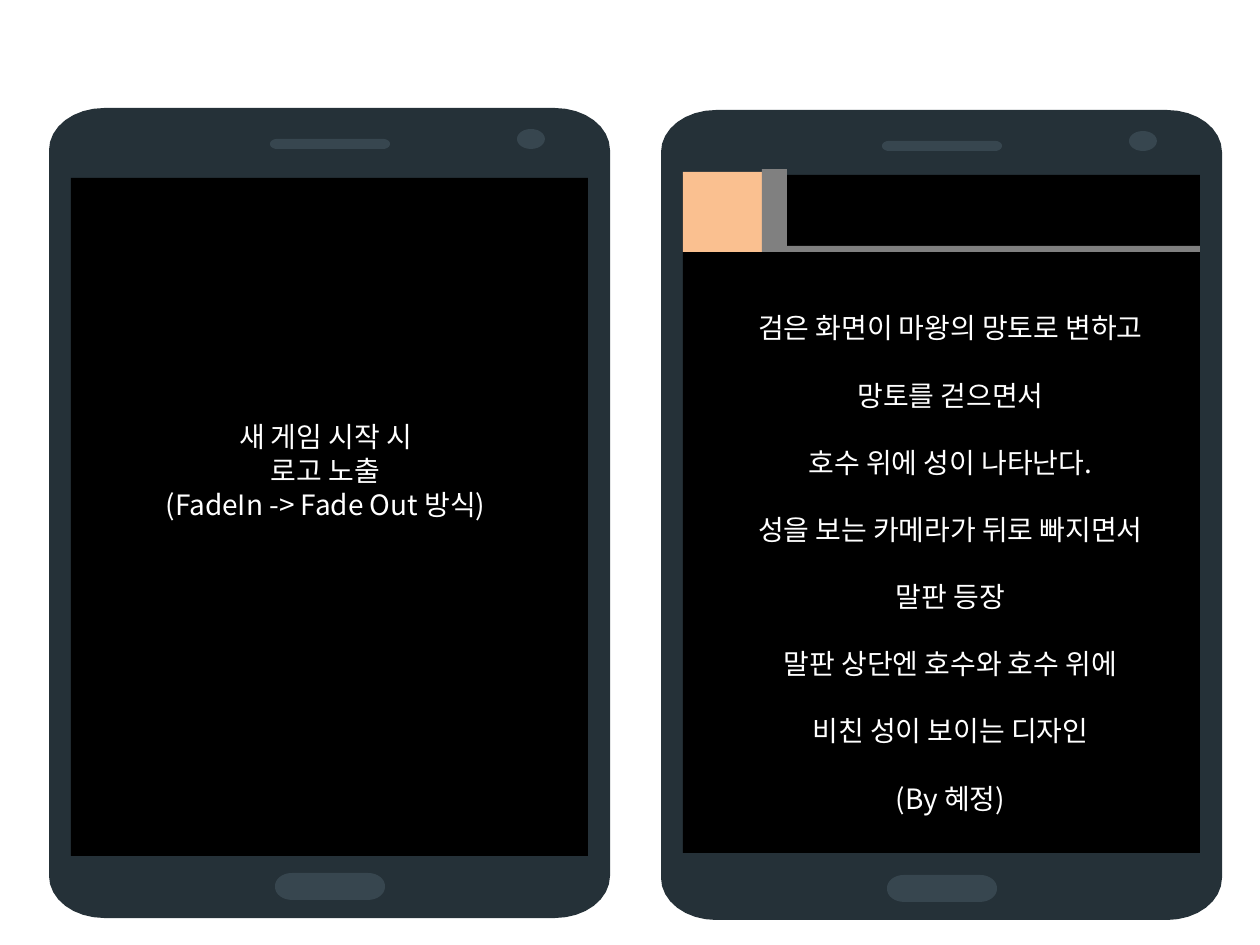
"""Build a slide with two phone mock-ups that describe a game's opening scenes."""
from math import cos, pi, sin

from pptx import Presentation
from pptx.dml.color import RGBColor
from pptx.enum.shapes import MSO_SHAPE as SHAPE
from pptx.enum.text import PP_ALIGN as ALIGN
from pptx.oxml.ns import qn
from pptx.util import Emu, Pt

COLORS = {"body": "253138", "detail": "37464F", "screen": "000000",
          "text": "FFFFFF", "peach": "FAC090", "gray": "808080"}
FONT = "Noto Sans CJK KR"
LINE_HEIGHT = 19.2
INDENT = 23

PHONES = [
    {"origin": (49, 108), "screen_top": 70, "text_box": (83, 420, 462, 102), "gap": 0,
     "lines": ["새 게임 시작 시", "로고 노출", "(FadeIn -> Fade Out 방식)"]},
    {"origin": (661, 110), "screen_top": 65, "text_box": (708, 311, 462, 509), "gap": LINE_HEIGHT,
     "lines": ["검은 화면이 마왕의 망토로 변하고", "망토를 걷으면서", "호수 위에 성이 나타난다.",
               "성을 보는 카메라가 뒤로 빠지면서", "말판 등장", "말판 상단엔 호수와 호수 위에",
               "비친 성이 보이는 디자인", "(By 혜정)"]},
]
ROUNDED_PARTS = [
    ((0, 0, 561, 810), (55, 42), "body"),
    ((226, 765, 110, 27), (17, 13), "detail"),
    ((221, 31, 120, 10), (7, 5), "detail"),
]
CAMERA = (468, 21, 28, 20)
SCREEN = (22, 0, 517, 678)
CLOAK_PARTS = [
    ((683, 172, 79, 80), "peach"),
    ((762, 169, 25, 83), "gray"),
    ((787, 246, 413, 6), "gray"),
]


def px(value):
    return Emu(round(value * 914400 / 126))


def paint(shape, color):
    shape.shadow.inherit = False
    shape.fill.solid()
    shape.fill.fore_color.rgb = RGBColor.from_string(COLORS[color])
    shape.line.fill.background()


def add_preset(slide, kind, box, color):
    paint(slide.shapes.add_shape(kind, *map(px, box)), color)


def add_rounded(slide, box, radii, color, steps=8):
    left, top, width, height = box
    radius_x, radius_y = radii
    centers = [(left + width - radius_x, top + height - radius_y),
               (left + radius_x, top + height - radius_y),
               (left + radius_x, top + radius_y),
               (left + width - radius_x, top + radius_y)]
    points = []
    for corner, (center_x, center_y) in enumerate(centers):
        for step in range(steps + 1):
            angle = (corner + step / steps) * pi / 2
            points.append((px(center_x + radius_x * cos(angle)),
                           px(center_y + radius_y * sin(angle))))
    builder = slide.shapes.build_freeform(*points[0])
    builder.add_line_segments(points[1:], close=True)
    paint(builder.convert_to_shape(), color)


def add_text(slide, lines, *, box, gap, size=16, color="text"):
    frame = slide.shapes.add_textbox(*map(px, box)).text_frame
    frame.word_wrap = True
    frame.margin_left = frame.margin_right = frame.margin_top = frame.margin_bottom = 0
    for index, line in enumerate(lines):
        paragraph = frame.add_paragraph() if index else frame.paragraphs[0]
        paragraph.alignment = ALIGN.CENTER
        paragraph.line_spacing = Pt(LINE_HEIGHT)
        paragraph.space_after = Pt(gap)
        paragraph._p.get_or_add_pPr().set("indent", str(px(INDENT)))
        run = paragraph.add_run()
        run.text = line
        run.font.size = Pt(size)
        run.font.color.rgb = RGBColor.from_string(COLORS[color])
        run.font.name = FONT
        east_asian = run._r.get_or_add_rPr().makeelement(qn("a:ea"), {"typeface": FONT})
        run._r.get_or_add_rPr().append(east_asian)


def shift(box, left, top):
    return box[0] + left, box[1] + top, box[2], box[3]


def add_phone(slide, phone):
    left, top = phone["origin"]
    for box, radii, color in ROUNDED_PARTS:
        add_rounded(slide, shift(box, left, top), radii, color)
    add_preset(slide, SHAPE.OVAL, shift(CAMERA, left, top), "detail")
    add_preset(slide, SHAPE.RECTANGLE, shift(SCREEN, left, top + phone["screen_top"]), "screen")
    add_text(slide, phone["lines"], box=phone["text_box"], gap=phone["gap"])


def main():
    presentation = Presentation()
    presentation.slide_width, presentation.slide_height = px(1260), px(945)
    slide = presentation.slides.add_slide(presentation.slide_layouts[6])
    for phone in PHONES:
        add_phone(slide, phone)
    for box, color in CLOAK_PARTS:
        add_preset(slide, SHAPE.RECTANGLE, box, color)
    presentation.save("out.pptx")


if __name__ == "__main__":
    main()
